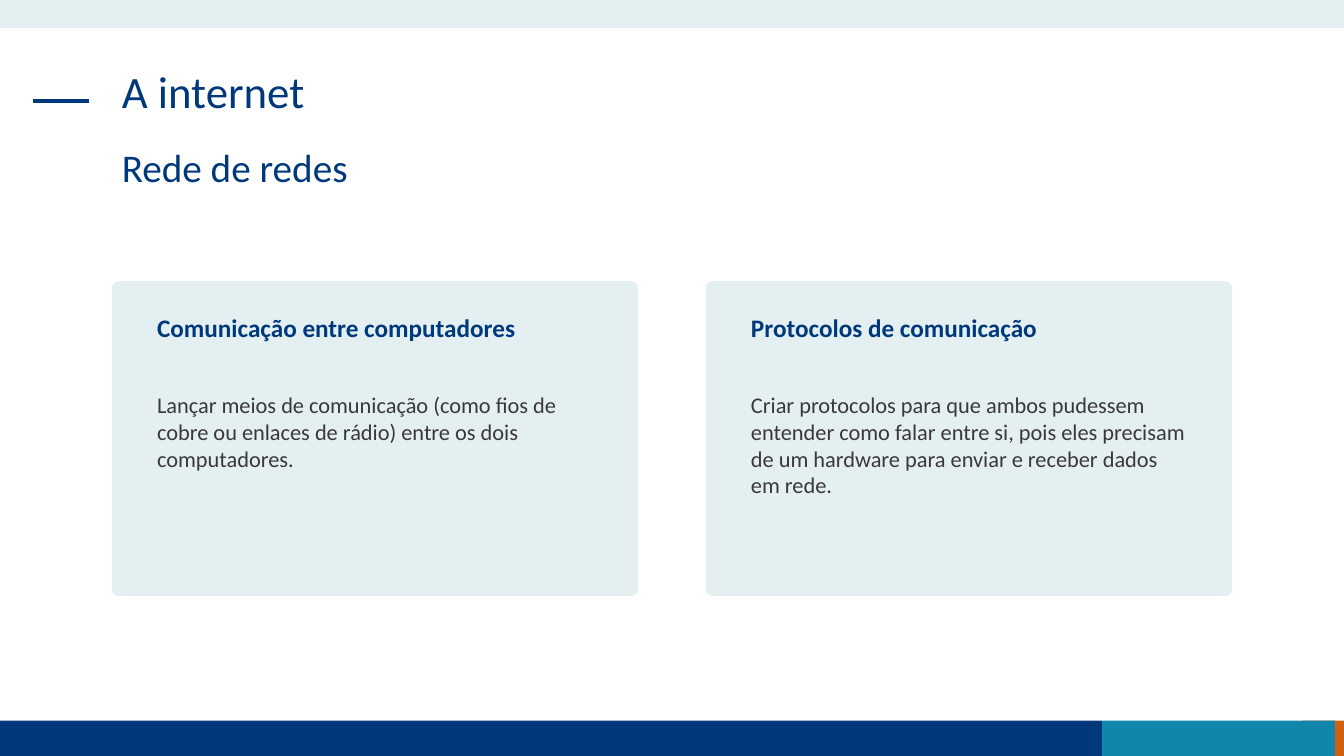
from dataclasses import dataclass

from lxml.etree import SubElement
from pptx import Presentation
from pptx.dml.color import RGBColor
from pptx.enum.shapes import MSO_CONNECTOR, MSO_SHAPE
from pptx.enum.text import MSO_ANCHOR
from pptx.oxml.ns import qn
from pptx.util import Inches, Pt


@dataclass(frozen=True)
class Theme:
    font: str = "Calibri"
    navy: str = "00397B"
    teal: str = "1185AA"
    orange: str = "D06110"
    pale: str = "E3EFF1"
    body: str = "3B3838"
    title_size: int = 32
    subtitle_size: int = 28
    heading_size: int = 18
    body_size: int = 16


@dataclass(frozen=True)
class Box:
    left: float
    top: float
    width: float
    height: float

    def lengths(self) -> tuple:
        return tuple(map(Inches, (self.left, self.top, self.width, self.height)))


@dataclass(frozen=True)
class Band:
    box: Box
    color: str


@dataclass(frozen=True)
class Label:
    box: Box
    text: str
    size: int
    color: str
    bold: bool = False
    line_spacing: float = 1.0


@dataclass(frozen=True)
class Card:
    heading: str
    body: str
    heading_width: float
    body_height: float


THEME = Theme()
SLIDE_W, SLIDE_H = 13.33, 7.5
FOOTER_TOP, FOOTER_H = 7.15, 0.35
TEXT_LEFT, TEXT_W, TEXT_H = 1.11, 11.1, 0.94
CARD_TOP, CARD_W, CARD_H = 2.79, 5.22, 3.12
CARD_STEP = 5.89
CARD_INSET = 0.35

BANDS = [
    Band(Box(12.92, FOOTER_TOP, 0.41, FOOTER_H), THEME.orange),
    Band(Box(0, FOOTER_TOP, 10.93, FOOTER_H), THEME.navy),
    Band(Box(10.93, FOOTER_TOP, 2.31, FOOTER_H), THEME.teal),
    Band(Box(0, 0, SLIDE_W, 0.28), THEME.pale),
]

TITLES = [
    Label(Box(TEXT_LEFT, 0.64, TEXT_W, TEXT_H), "A internet",
          THEME.title_size, THEME.navy, line_spacing=0.9),
    Label(Box(TEXT_LEFT, 1.43, TEXT_W, TEXT_H), "Rede de redes",
          THEME.subtitle_size, THEME.navy, line_spacing=0.9),
]

CARDS = [
    Card("Comunicação entre computadores",
         "Lançar meios de comunicação (como fios de cobre ou enlaces de rádio) "
         "entre os dois computadores.", 4.52, 0.91),
    Card("Protocolos de comunicação",
         "Criar protocolos para que ambos pudessem entender como falar entre si, "
         "pois eles precisam de um hardware para enviar e receber dados em rede.",
         4.62, 1.18),
]


def add_block(shapes, kind: MSO_SHAPE, box: Box, color: str):
    sp = shapes.add_shape(kind, *box.lengths())
    sp.shadow.inherit = False
    sp.fill.solid()
    sp.fill.fore_color.rgb = RGBColor.from_string(color)
    sp.line.fill.background()
    return sp


def add_label(shapes, label: Label) -> None:
    tf = shapes.add_textbox(*label.box.lengths()).text_frame
    tf.word_wrap = True
    tf.vertical_anchor = MSO_ANCHOR.TOP
    tf.text = label.text
    p = tf.paragraphs[0]
    p.line_spacing = label.line_spacing
    font = p.runs[0].font
    font.name = THEME.font
    font.size = Pt(label.size)
    font.bold = label.bold
    font.color.rgb = RGBColor.from_string(label.color)


def add_accent_line(shapes, left: float, right: float, y: float) -> None:
    line = shapes.add_connector(MSO_CONNECTOR.STRAIGHT, Inches(left), Inches(y),
                                Inches(right), Inches(y))
    line.line.color.rgb = RGBColor.from_string(THEME.navy)
    line.line.width = Pt(3)
    SubElement(line._element.spPr, qn("a:effectLst"))


def add_card(shapes, card: Card, left: float) -> None:
    group = shapes.add_group_shape().shapes
    panel = add_block(group, MSO_SHAPE.ROUNDED_RECTANGLE,
                      Box(left, CARD_TOP, CARD_W, CARD_H), THEME.pale)
    panel.adjustments[0] = 0.02
    text_left = left + CARD_INSET
    add_label(group, Label(Box(text_left, 3.05, card.heading_width, 0.4),
                           card.heading, THEME.heading_size, THEME.navy, bold=True))
    add_label(group, Label(Box(text_left, 3.83, 4.52, card.body_height),
                           card.body, THEME.body_size, THEME.body))


def main() -> None:
    prs = Presentation()
    prs.slide_width, prs.slide_height = Inches(SLIDE_W), Inches(SLIDE_H)
    s = prs.slides.add_slide(prs.slide_layouts[6])

    # Header and footer bands
    for band in BANDS:
        add_block(s.shapes, MSO_SHAPE.RECTANGLE, band.box, band.color)

    # Title, subtitle and accent line
    add_accent_line(s.shapes, 0.33, 0.88, 1)
    for title in TITLES:
        add_label(s.shapes, title)

    # Two cards side by side
    for i, card in enumerate(CARDS):
        add_card(s.shapes, card, TEXT_LEFT + i * CARD_STEP)

    prs.save("out.pptx")


if __name__ == "__main__":
    main()
